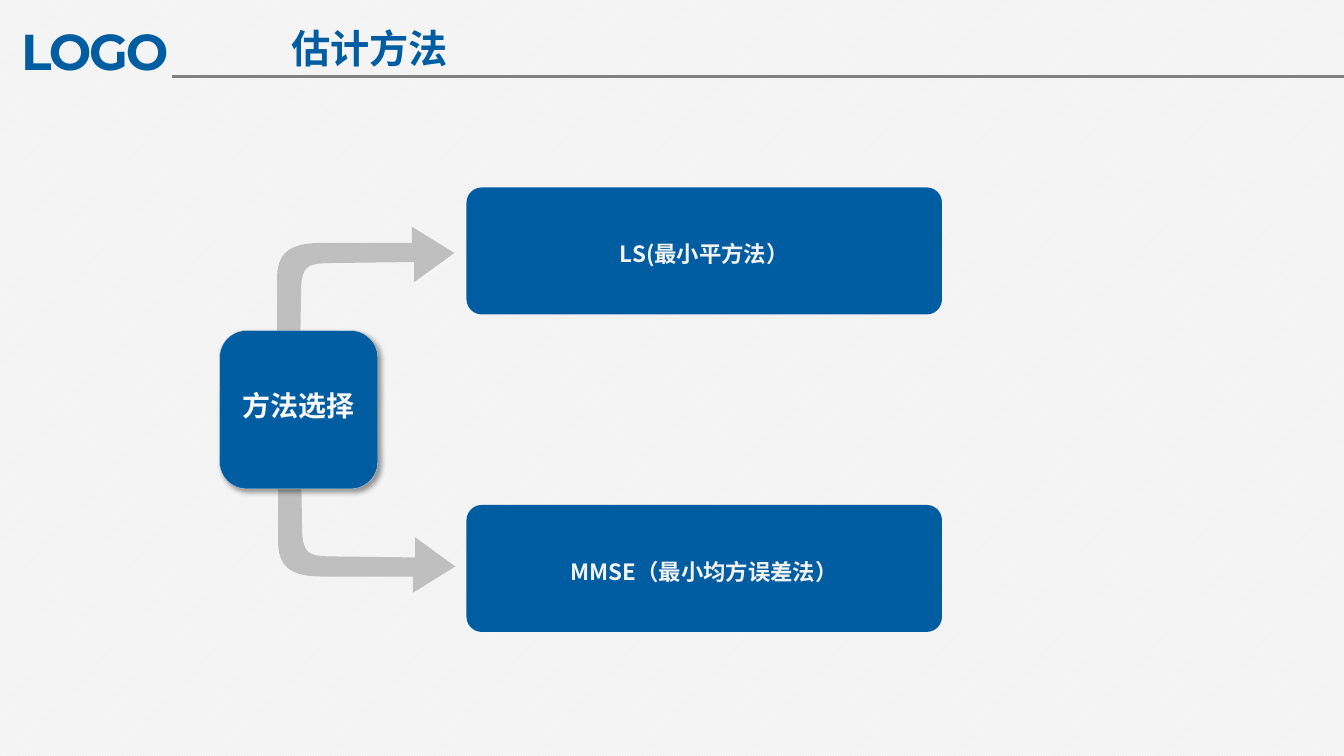
from dataclasses import dataclass
from typing import NamedTuple

from lxml.etree import SubElement
from pptx import Presentation
from pptx.dml.color import RGBColor as Rgb
from pptx.enum.dml import MSO_PATTERN as Pattern
from pptx.enum.shapes import MSO_CONNECTOR as Wire
from pptx.enum.shapes import MSO_SHAPE as Kind
from pptx.enum.text import MSO_ANCHOR as Anchor
from pptx.enum.text import MSO_AUTO_SIZE as Auto
from pptx.enum.text import PP_ALIGN as Align
from pptx.oxml.ns import qn
from pptx.shapes.autoshape import Shape
from pptx.slide import Slide
from pptx.text.text import TextFrame
from pptx.util import Emu, Pt

SCALE = 9144


@dataclass(frozen=True)
class Theme:
    blue: str = "005DA2"
    gray: str = "808080"
    arrow: str = "BFBFBF"
    edge: str = "D7D7D7"
    paper: str = "F2F2F2"
    pale: str = "F9F9F9"
    white: str = "FFFFFF"
    latin: str = "Montserrat"
    han: str = "Noto Sans CJK SC"
    logo: int = 36
    title: int = 28
    hub: int = 20
    card: int = 16


THEME = Theme()


class Box(NamedTuple):
    left: int
    top: int
    width: int
    height: int


class Inset(NamedTuple):
    left: int = 10
    top: int = 5
    right: int = 10
    bottom: int = 5


class Point(NamedTuple):
    x: float
    y: float


@dataclass(frozen=True)
class Label:
    text: str
    size: int
    color: str
    font: str = THEME.han
    align: Align = Align.CENTER
    gap: float = 1.0
    track: int = 0
    inset: Inset = Inset()


@dataclass(frozen=True)
class Panel:
    box: Box
    label: Label
    round: float


ELBOW: list[list[Point]] = [
    [Point(*pair) for pair in step]
    for step in (
        [(298, 407)],
        [(300, 529)],
        [(301, 551), (310, 551), (326, 552)],
        [(412, 553)],
        [(412, 533)],
        [(452, 562)],
        [(410, 588)],
        [(410, 572)],
        [(320, 572)],
        [(287, 572), (276, 561), (276, 536)],
        [(276, 404)],
        [(280, 383), (293, 385), (298, 407)],
    )
]
CARDS = ("LS(最小平方法）", "MMSE（最小均方误差法）")


def px(value: float) -> Emu:
    return Emu(round(value * SCALE))


def tint(code: str) -> Rgb:
    return Rgb.from_string(code)


def write(frame: TextFrame, label: Label) -> None:
    frame.word_wrap = True
    frame.margin_left, frame.margin_top, frame.margin_right, frame.margin_bottom = map(
        px, label.inset
    )
    para = frame.paragraphs[0]
    para.alignment = label.align
    para.line_spacing = label.gap
    run = para.add_run()
    run.text = label.text
    font = run.font
    font.size = Pt(label.size)
    font.bold = True
    font.name = label.font
    font.color.rgb = tint(label.color)
    props = run._r.get_or_add_rPr()
    SubElement(props, qn("a:ea")).set("typeface", label.font)
    if label.track:
        props.set("spc", str(label.track))


def add_text(slide: Slide, box: Box, label: Label) -> None:
    frame = slide.shapes.add_textbox(*map(px, box)).text_frame
    write(frame, label)
    frame.auto_size = Auto.SHAPE_TO_FIT_TEXT


def paint(shape: Shape, color: str) -> None:
    shape.shadow.inherit = False
    shape.fill.solid()
    shape.fill.fore_color.rgb = tint(color)
    shape.line.fill.background()


def add_panel(slide: Slide, panel: Panel) -> Shape:
    shape = slide.shapes.add_shape(Kind.ROUNDED_RECTANGLE, *map(px, panel.box))
    shape.adjustments[0] = panel.round
    paint(shape, THEME.blue)
    shape.text_frame.vertical_anchor = Anchor.MIDDLE
    write(shape.text_frame, panel.label)
    return shape


def add_hub(slide: Slide, panel: Panel) -> None:
    shape = add_panel(slide, panel)
    shape.line.color.rgb = tint(THEME.edge)
    shape.line.width = Pt(0.25)
    effects = shape._element.spPr.find(qn("a:effectLst"))
    shade = SubElement(effects, qn("a:outerShdw"))
    for key, value in (("blurRad", Pt(4)), ("dist", Pt(3)), ("dir", 45 * 60000)):
        shade.set(key, str(value))
    color = SubElement(shade, qn("a:srgbClr"))
    color.set("val", "000000")
    SubElement(color, qn("a:alpha")).set("val", "40000")


def bend(start: Point, one: Point, two: Point, end: Point, count: int = 16) -> list[Point]:
    points = []
    for step in range(1, count + 1):
        t = step / count
        u = 1 - t
        parts = (u**3, 3 * u * u * t, 3 * u * t * t, t**3)
        knots = (start, one, two, end)
        points.append(
            Point(
                sum(part * knot.x for part, knot in zip(parts, knots)),
                sum(part * knot.y for part, knot in zip(parts, knots)),
            )
        )
    return points


def trace(steps: list[list[Point]]) -> list[Point]:
    points = list(steps[0])
    for step in steps[1:]:
        points += bend(points[-1], *step) if len(step) == 3 else step
    return points


def add_arrow(slide: Slide, points: list[Point]) -> None:
    spots = [(px(point.x), px(point.y)) for point in points]
    pen = slide.shapes.build_freeform(*spots[0])
    pen.add_line_segments(spots[1:], close=True)
    paint(pen.convert_to_shape(), THEME.arrow)


def add_rule(slide: Slide, start: Point, end: Point) -> None:
    rule = slide.shapes.add_connector(Wire.STRAIGHT, *map(px, (*start, *end)))
    rule.line.color.rgb = tint(THEME.gray)
    rule.line.width = Pt(2)
    SubElement(rule._element.spPr, qn("a:effectLst"))


def main() -> None:
    deck = Presentation()
    deck.slide_width, deck.slide_height = px(1334), px(750)
    slide = deck.slides.add_slide(deck.slide_layouts[6])
    fill = slide.background.fill
    fill.patterned()
    fill.pattern = Pattern.LIGHT_UPWARD_DIAGONAL
    fill.fore_color.rgb = tint(THEME.white)
    fill.back_color.rgb = tint(THEME.paper)

    logo = Label("LOGO", THEME.logo, THEME.blue, THEME.latin, Align.LEFT,
                 track=-150, inset=Inset(13, 7, 13, 7))
    add_text(slide, Box(8, 13, 186, 74), logo)
    add_rule(slide, Point(171, 76), Point(1334, 76))

    lower = trace(ELBOW)
    add_arrow(slide, lower)
    add_arrow(slide, [Point(x - 1, 813 - y) for x, y in lower])
    for row, text in enumerate(CARDS):
        label = Label(text, THEME.card, THEME.paper, gap=1.2)
        add_panel(slide, Panel(Box(463, 186 + 315 * row, 472, 126), label, 0.12))
    hub = Label("方法选择", THEME.hub, THEME.pale, gap=1.2, inset=Inset(14, 5, 14, 20))
    add_hub(slide, Panel(Box(218, 328, 157, 157), hub, 0.17))
    add_text(slide, Box(187, 19, 360, 57), Label("估计方法", THEME.title, THEME.blue))
    deck.save("out.pptx")


if __name__ == "__main__":
    main()
